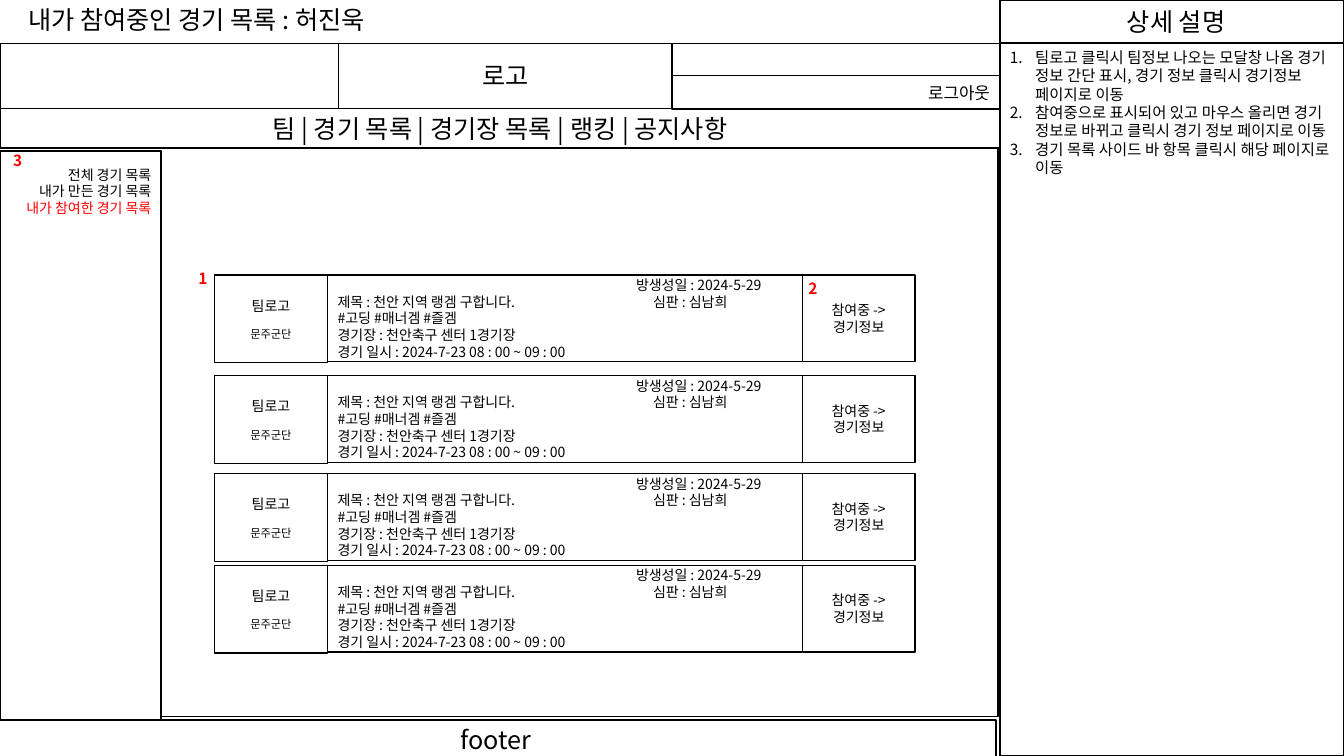
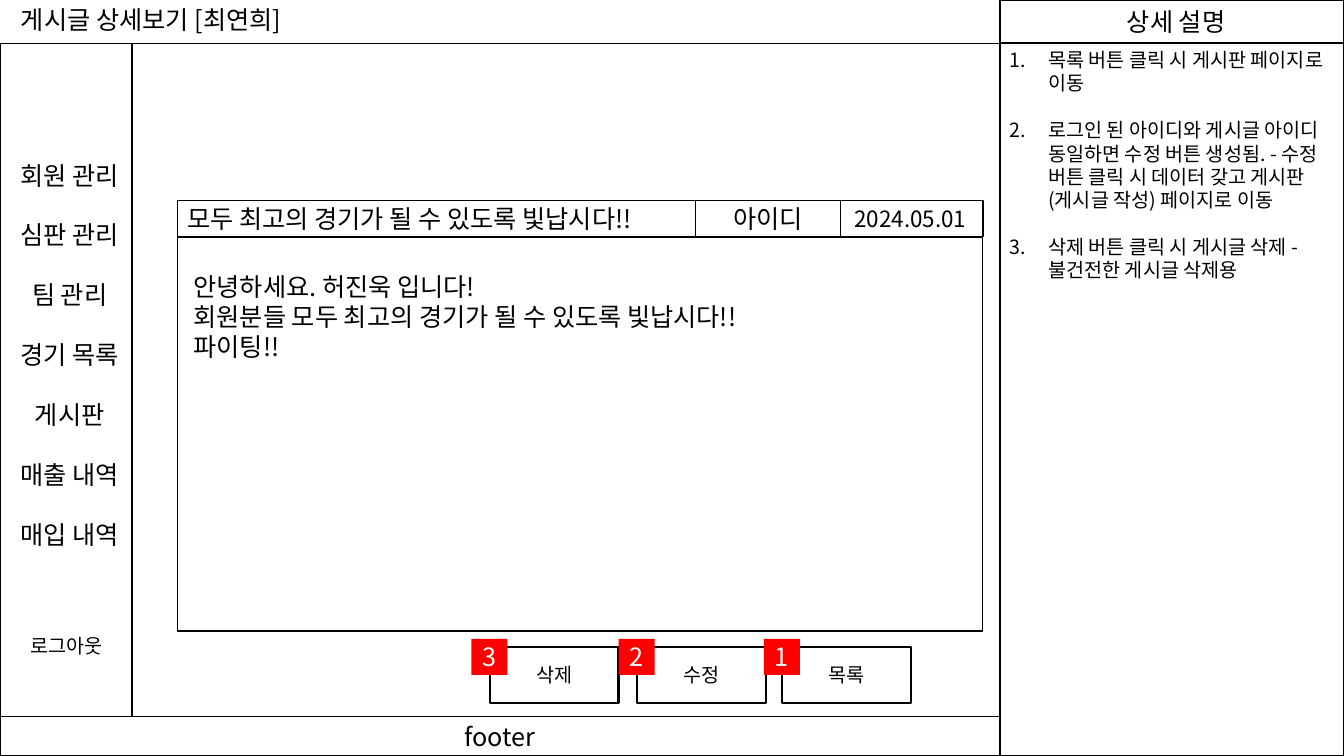
"""Two wireframe slides: a list of joined matches and a post detail page."""
import pptx
import pptx.dml.color
import pptx.enum.shapes
import pptx.enum.text
import pptx.oxml.ns
import pptx.util
from lxml import etree

Cm, Pt = pptx.util.Cm, pptx.util.Pt
ALIGN = pptx.enum.text.PP_ALIGN
ANCHOR = pptx.enum.text.MSO_ANCHOR
qn = pptx.oxml.ns.qn

BLACK = pptx.dml.color.RGBColor(0x00, 0x00, 0x00)
WHITE = pptx.dml.color.RGBColor(0xFF, 0xFF, 0xFF)
RED = pptx.dml.color.RGBColor(0xFF, 0x00, 0x00)
FONT = "Noto Sans CJK KR"
LEADING = 1.19

SLIDE_W, SLIDE_H = 33.87, 19.05
PAGE_W, HEADER_H = 25.2, 1.09
PANEL_W = SLIDE_W - PAGE_W
FOOTER_H = 0.99

MATCH_TITLE = "내가 참여중인 경기 목록 : 허진욱"
MATCH_NOTES = [
    "팀로고 클릭시 팀정보 나오는 모달창 나옴 경기 정보 간단 표시, 경기 정보 클릭시 경기정보 페이지로 이동",
    "참여중으로 표시되어 있고 마우스 올리면 경기 정보로 바뀌고 클릭시 경기 정보 페이지로 이동",
    "경기 목록 사이드 바 항목 클릭시 해당 페이지로 이동",
]
SITE_MENU = ["팀", "경기 목록", "경기장 목록", "랭킹", "공지사항"]
MATCH_SIDEBAR = ["전체 경기 목록", "내가 만든 경기 목록", "내가 참여한 경기 목록"]
MATCH_DETAILS = [
    "\t방생성일 : 2024-5-29",
    "제목 : 천안 지역 랭겜 구합니다.\t심판 : 심남희",
    "#고딩 #매너겜 #즐겜",
    "경기장 : 천안축구 센터 1경기장",
    "경기 일시 : 2024-7-23 08 : 00 ~ 09 : 00",
]
DETAIL_TABS = [7.52, 7.95]
TEAM = ["팀로고", "문주군단"]
CARD_TOPS = [6.93, 9.47, 11.94, 14.25]
CARD_H = 2.18
MATCH_MARKS = [("3", 0.08, 3.68), ("1", 4.75, 6.65), ("2", 20.12, 6.91)]

POST_TITLE = "게시글 상세보기 [최연희]"
POST_NOTES = [
    "목록 버튼 클릭 시 게시판 페이지로 이동",
    "로그인 된 아이디와 게시글 아이디 동일하면 수정 버튼 생성됨. - 수정 버튼 클릭 시 데이터 갖고 게시판(게시글 작성) 페이지로 이동",
    "삭제 버튼 클릭 시 게시글 삭제 - 불건전한 게시글 삭제용",
]
ADMIN_MENU = ["회원 관리", "심판 관리", "팀 관리", "경기 목록", "게시판", "매출 내역", "매입 내역"]
POST_HEADING = "모두 최고의 경기가 될 수 있도록 빛납시다!!"
POST_BODY = [
    "안녕하세요. 허진욱 입니다!",
    "회원분들 모두 최고의 경기가 될 수 있도록 빛납시다!!",
    "파이팅!!",
]
POST_BUTTONS = [("삭제", "3", 12.34), ("수정", "2", 16.05), ("목록", "1", 19.71)]


def style(paragraph, size, color=BLACK, bold=False):
    """Set font, size, colour and line height of a paragraph."""
    paragraph.line_spacing = Pt(round(size * LEADING, 1))
    for run in paragraph.runs:
        run.font.size = Pt(size)
        run.font.bold = bold
        run.font.color.rgb = color
        run.font.name = FONT
        etree.SubElement(run.font._element, qn("a:ea"), typeface=FONT)


def write(shape, lines, size, align, anchor, color=BLACK, bold=False, gap=0):
    """Fill a shape with one styled paragraph per line."""
    frame = shape.text_frame
    frame.word_wrap = True
    frame.vertical_anchor = anchor
    frame.text = "\n".join(lines)
    for index, paragraph in enumerate(frame.paragraphs):
        paragraph.alignment = align
        if index and gap:
            paragraph.space_before = Pt(gap)
        style(paragraph, size, color, bold)
    return frame


def box(slide, area, lines=(), size=18, align=ALIGN.CENTER, anchor=ANCHOR.MIDDLE,
        fill=WHITE, color=BLACK, weight=1):
    """Add a rectangle; a weight of zero leaves it without an outline."""
    shape = slide.shapes.add_shape(
        pptx.enum.shapes.MSO_SHAPE.RECTANGLE, *map(Cm, area))
    shape.shadow.inherit = False
    shape.fill.solid()
    shape.fill.fore_color.rgb = fill
    if weight:
        shape.line.color.rgb = BLACK
        shape.line.width = Pt(weight)
    else:
        shape.line.fill.background()
    if lines:
        write(shape, lines, size, align, anchor, color)
    return shape.text_frame


def label(slide, area, lines, size=18, align=ALIGN.LEFT, **looks):
    """Add a plain text box."""
    shape = slide.shapes.add_textbox(*map(Cm, area))
    return write(shape, lines, size, align, ANCHOR.TOP, **looks)


def number(frame, indent):
    """Number the paragraphs of a text frame with a hanging indent."""
    for paragraph in frame.paragraphs:
        properties = paragraph._p.get_or_add_pPr()
        properties.set("marL", str(Cm(indent)))
        properties.set("indent", str(-Cm(indent)))
        etree.SubElement(properties, qn("a:buFont"), typeface="+mj-lt")
        etree.SubElement(properties, qn("a:buAutoNum"), type="arabicPeriod")


def add_page(deck, title, title_left, notes, note_size, indent, note_gap=0):
    """Add a slide with its title and the description panel."""
    slide = deck.slides.add_slide(deck.slide_layouts[6])
    box(slide, (PAGE_W, HEADER_H, PANEL_W, SLIDE_H - HEADER_H))
    heading = box(slide, (PAGE_W, 0, PANEL_W, HEADER_H), ["상세 설명"], align=ALIGN.LEFT)
    heading.margin_left = Cm(3.2)
    label(slide, (title_left, 0, 12, 1.02), [title])
    number(label(slide, (PAGE_W, HEADER_H, PANEL_W, 6), notes, note_size, gap=note_gap), indent)
    return slide


def add_footer(slide, left, top):
    """Add the footer band."""
    box(slide, (left, top, PAGE_W, FOOTER_H), ["footer"])


def add_match_card(slide, top):
    """Add one match: details, join state and team."""
    details = box(slide, (8.26, top, 11.96, CARD_H), MATCH_DETAILS, 10, ALIGN.LEFT)
    for paragraph, stop in zip(details.paragraphs, DETAIL_TABS):
        tabs = etree.SubElement(paragraph._p.get_or_add_pPr(), qn("a:tabLst"))
        etree.SubElement(tabs, qn("a:tab"), pos=str(Cm(stop)), algn="l")
    box(slide, (20.22, top, 2.84, CARD_H), ["참여중 -> 경기정보"], 10)
    team = box(slide, (5.41, top, 2.84, 2.21), TEAM, 10)
    name = team.paragraphs[1]
    name.space_before = Pt(9.5)
    name.line_spacing = Pt(9.5)
    name.runs[0].font.size = Pt(8)


def add_match_list(deck):
    """Build the list of joined matches."""
    slide = add_page(deck, MATCH_TITLE, 0.46, MATCH_NOTES, 11, 0.64)
    box(slide, (-0.05, 3.73, PAGE_W, 14.33))
    box(slide, (0, HEADER_H, PAGE_W, 2.64))
    box(slide, (8.53, HEADER_H, 8.41, 1.65), ["로고"])
    box(slide, (0, 2.74, PAGE_W, 0.99), [" | ".join(SITE_MENU)])
    box(slide, (16.94, 1.91, 8.26, 0.84), ["로그아웃"], 12, ALIGN.RIGHT)
    add_footer(slide, -0.1, 18.14)
    sidebar = box(slide, (0, 3.81, 4.06, 14.33), MATCH_SIDEBAR, 10, ALIGN.RIGHT, ANCHOR.TOP)
    sidebar.margin_top = Cm(0.38)
    sidebar.paragraphs[-1].runs[0].font.color.rgb = RED
    for top in CARD_TOPS:
        add_match_card(slide, top)
    for mark, left, top in MATCH_MARKS:
        label(slide, (left, top, 0.97, 0.74), [mark], 11, color=RED, bold=True)


def add_post_detail(deck):
    """Build the post detail page."""
    slide = add_page(deck, POST_TITLE, 0.28, POST_NOTES, 14, 0.97, 16.7)
    box(slide, (0, HEADER_H, PAGE_W, 16.97))
    box(slide, (4.47, 5.05, 20.29, 0.91), [POST_HEADING], align=ALIGN.LEFT)
    body = box(slide, (4.47, 5.97, 20.29, 9.93), POST_BODY, 18, ALIGN.LEFT, ANCHOR.TOP)
    body.margin_left = Cm(0.41)
    body.margin_top = Cm(0.88)
    box(slide, (21.11, 5.05, 3.66, 0.91), ["2024.05.01"], 16)
    box(slide, (17.53, 5.05, 3.66, 0.91), ["아이디"])
    for caption, mark, left in POST_BUTTONS:
        box(slide, (left, 16.31, 3.25, 1.4), [caption], 14, weight=1.5)
        box(slide, (left - 0.46, 16.1, 0.91, 0.91), [mark], fill=RED, color=WHITE, weight=0)
    add_footer(slide, 0, 18.06)
    box(slide, (0, HEADER_H, 3.33, 16.97))
    label(slide, (0.51, 15.85, 3.33, 0.86), ["로그아웃"], 14)
    label(slide, (-0.33, 3.91, 4.17, 11.02), ADMIN_MENU, align=ALIGN.CENTER, gap=21.4)


def main():
    """Build and save the deck."""
    deck = pptx.Presentation()
    deck.slide_width, deck.slide_height = Cm(SLIDE_W), Cm(SLIDE_H)
    add_match_list(deck)
    add_post_detail(deck)
    deck.save("out.pptx")


if __name__ == "__main__":
    main()
